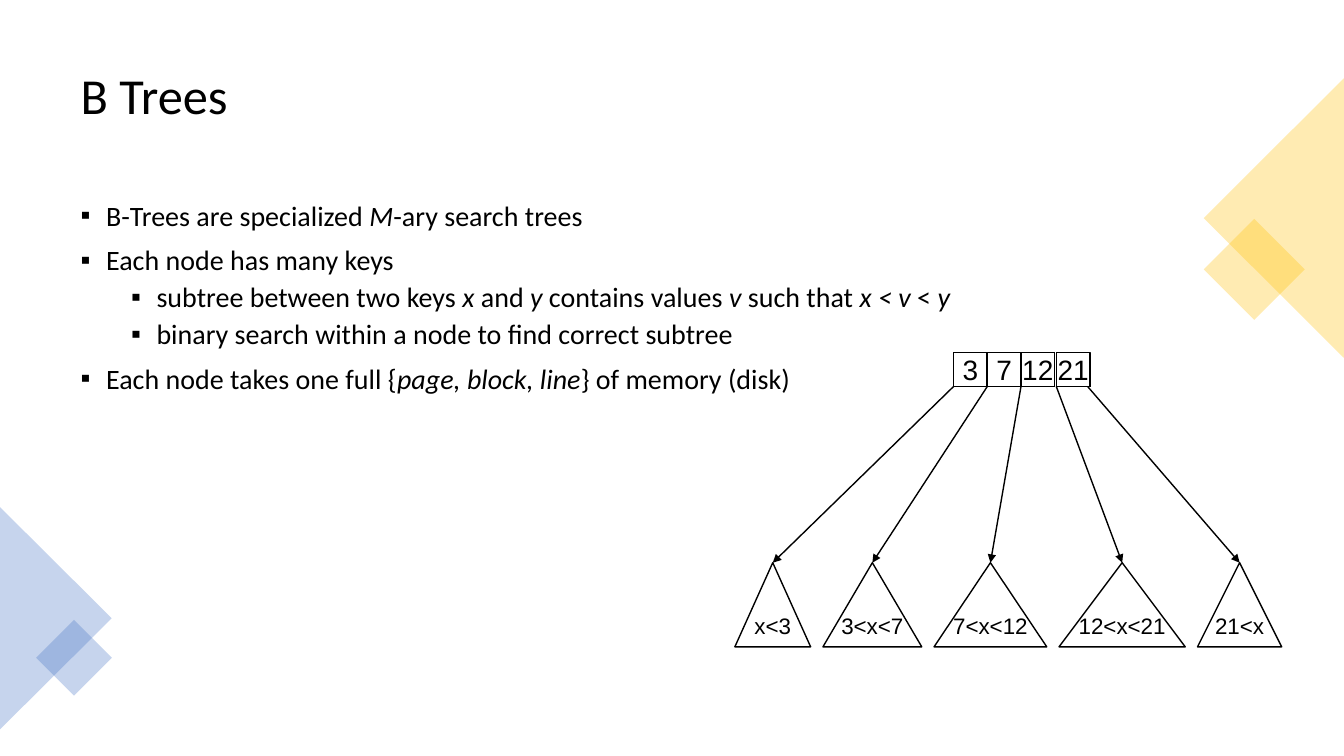
from dataclasses import dataclass

from lxml.etree import SubElement
from pptx import Presentation
from pptx.dml.color import RGBColor
from pptx.enum.shapes import MSO_CONNECTOR, MSO_SHAPE
from pptx.enum.text import MSO_ANCHOR, MSO_AUTO_SIZE, PP_ALIGN
from pptx.oxml.ns import qn
from pptx.util import Cm, Pt


@dataclass(frozen=True)
class Theme:
    ink: RGBColor = RGBColor(0x00, 0x00, 0x00)
    gold: RGBColor = RGBColor(0xFF, 0xC0, 0x00)
    blue: RGBColor = RGBColor(0x44, 0x72, 0xC4)
    opacity: int = 30  # percent
    text_font: str = "Calibri"
    tree_font: str = "Arial"
    title_size: int = 36
    body_size: int = 20
    key_size: int = 20
    subtree_size: int = 16
    line_width: int = 1


THEME = Theme()

# Content: asterisks enclose italic words
TITLE = "B Trees"
BULLETS = [
    (0, "B-Trees are specialized *M*-ary search trees"),
    (0, "Each node has many keys"),
    (1, "subtree between two keys *x *and *y *contains values *v* such that *x < v *<* y*"),
    (1, "binary search within a node to find correct subtree"),
    (0, "Each node takes one full {*page, block, line*} of memory (disk)"),
]
TOP, LEFT, BOTTOM, RIGHT = range(4)  # connection sites of a rectangle
OPEN_SIDES = (LEFT, BOTTOM, TOP)
ALL_SIDES = (LEFT, RIGHT, BOTTOM, TOP)
KEYS = [("3", OPEN_SIDES), ("7", OPEN_SIDES), ("12", ALL_SIDES), ("21", ALL_SIDES)]
SUBTREES = [("x<3", 1.91), ("3<x<7", 2.49), ("7<x<12", 2.84),
            ("12<x<21", 3.18), ("21<x", 2.12)]  # label, width
DECORATIONS = [  # preset, left, top, width, height, rotation, colour
    (MSO_SHAPE.RECTANGLE, 30.71, 5.89, 1.8, 1.8, 45, THEME.gold),
    (MSO_SHAPE.ISOSCELES_TRIANGLE, 28.58, 3.73, 7.04, 3.53, 270, THEME.gold),
    (MSO_SHAPE.ISOSCELES_TRIANGLE, -1.4, 14.17, 5.61, 2.82, 90, THEME.blue),
    (MSO_SHAPE.RECTANGLE, 1.19, 15.9, 1.35, 1.35, 45, THEME.blue),
]

# Tree layout in centimetres
NODE_LEFT, NODE_TOP, KEY_SIDE, LAST_KEY_GAP, LAST_ARROW_INSET = 24.03, 8.89, 0.85, 0.04, 0.06
SUBTREE_LEFT, SUBTREE_TOP, SUBTREE_HEIGHT, SUBTREE_GAP = 18.52, 14.18, 2.12, 0.31


def style_font(font, name, size):
    font.name = name
    font.size = Pt(size)
    font.color.rgb = THEME.ink


def style_line(line):
    line.color.rgb = THEME.ink
    line.width = Pt(THEME.line_width)


def add_plain_shape(parent, preset, left, top, width, height):
    shape = parent.shapes.add_shape(preset, Cm(left), Cm(top), Cm(width), Cm(height))
    shape.shadow.inherit = False
    return shape


def add_outlined(parent, preset, left, top, width, height, label, size):
    shape = add_plain_shape(parent, preset, left, top, width, height)
    shape.fill.background()
    style_line(shape.line)
    frame = shape.text_frame
    frame.text = label
    frame.word_wrap = False
    frame.vertical_anchor = MSO_ANCHOR.MIDDLE
    para = frame.paragraphs[0]
    para.alignment = PP_ALIGN.CENTER
    style_font(para.runs[0].font, THEME.tree_font, size)
    return shape


def add_line(parent, x, y, target, site, arrowhead=False):
    """Draw from a point to a connection site of the target shape."""
    line = parent.shapes.add_connector(MSO_CONNECTOR.STRAIGHT, Cm(x), Cm(y), Cm(x), Cm(y))
    line.end_connect(target, site)
    style_line(line.line)
    if arrowhead:
        SubElement(line.line._get_or_add_ln(), qn("a:tailEnd"), type="triangle")
    SubElement(line._element.spPr, qn("a:effectLst"))


def place(box, left, top, width, height, anchor):
    box.left, box.top, box.width, box.height = Cm(left), Cm(top), Cm(width), Cm(height)
    frame = box.text_frame
    frame.word_wrap = True
    frame.auto_size = MSO_AUTO_SIZE.NONE
    frame.vertical_anchor = anchor
    return frame


def add_title(page):
    frame = place(page.shapes.title, 1.78, 0.89, 30.3, 3.15, MSO_ANCHOR.MIDDLE)
    frame.text = TITLE
    para = frame.paragraphs[0]
    para.alignment = PP_ALIGN.LEFT
    para.line_spacing = 0.9
    style_font(para.runs[0].font, THEME.text_font, THEME.title_size)


def add_bullets(page):
    frame = place(page.placeholders[1], 1.78, 4.96, 30.3, 12.22, MSO_ANCHOR.TOP)
    for index, (level, text) in enumerate(BULLETS):
        para = frame.add_paragraph() if index else frame.paragraphs[0]
        para.level = level
        para.line_spacing = 0.9
        para.space_before = Pt((10, 5)[level] if index else 0)
        properties = para._p.get_or_add_pPr()
        properties.set("marL", str(Cm(0.64 + 1.27 * level)))
        properties.set("indent", str(-Cm(0.64)))
        SubElement(properties, qn("a:buFont"), typeface=THEME.tree_font)
        SubElement(properties, qn("a:buChar"), char="▪")
        for part, words in enumerate(text.split("*")):
            if words:
                span = para.add_run()
                span.text = words
                style_font(span.font, THEME.text_font, THEME.body_size)
                span.font.italic = part % 2 == 1


def add_decorations(page):
    for preset, left, top, width, height, rotation, colour in DECORATIONS:
        shape = add_plain_shape(page, preset, left, top, width, height)
        shape.rotation = rotation
        shape.fill.solid()
        shape.fill.fore_color.rgb = colour
        shape.line.fill.background()
        tint = shape._element.spPr.find(qn("a:solidFill")).find(qn("a:srgbClr"))
        SubElement(tint, qn("a:alpha"), val=str(THEME.opacity * 1000))


def add_key(page, left, key, sides):
    """Group a key's square with border lines from its corners to its side middles."""
    group = page.shapes.add_group_shape()
    square = add_outlined(group, MSO_SHAPE.RECTANGLE, left, NODE_TOP, KEY_SIDE, KEY_SIDE,
                          key, THEME.key_size)
    right, bottom = left + KEY_SIDE, NODE_TOP + KEY_SIDE
    corners = {
        TOP: [(left, NODE_TOP), (right, NODE_TOP)],
        LEFT: [(left, NODE_TOP), (left, bottom)],
        BOTTOM: [(left, bottom), (right, bottom)],
        RIGHT: [(right, NODE_TOP), (right, bottom)],
    }
    for side in sides:
        for x, y in corners[side]:
            add_line(group, x, y, square, side)


def add_tree(page):
    # Node: one square per key, the last set slightly apart
    starts = [NODE_LEFT + KEY_SIDE * index for index in range(len(KEYS))]
    starts[-1] += LAST_KEY_GAP
    for (key, sides), left in zip(KEYS, starts):
        add_key(page, left, key, sides)
    starts.append(starts[-1] + KEY_SIDE - LAST_ARROW_INSET)

    # Subtrees, each reached by an arrow from a key boundary
    left = SUBTREE_LEFT
    for start, (label, width) in zip(starts, SUBTREES):
        subtree = add_outlined(page, MSO_SHAPE.ISOSCELES_TRIANGLE, left, SUBTREE_TOP,
                               width, SUBTREE_HEIGHT, label, THEME.subtree_size)
        add_line(page, start, NODE_TOP + KEY_SIDE, subtree, TOP, arrowhead=True)
        left += width + SUBTREE_GAP


def main():
    deck = Presentation()
    deck.slide_width, deck.slide_height = Cm(33.87), Cm(19.05)
    page = deck.slides.add_slide(deck.slide_layouts[1])
    add_title(page)
    add_bullets(page)
    add_decorations(page)
    add_tree(page)
    deck.save("out.pptx")


if __name__ == "__main__":
    main()
